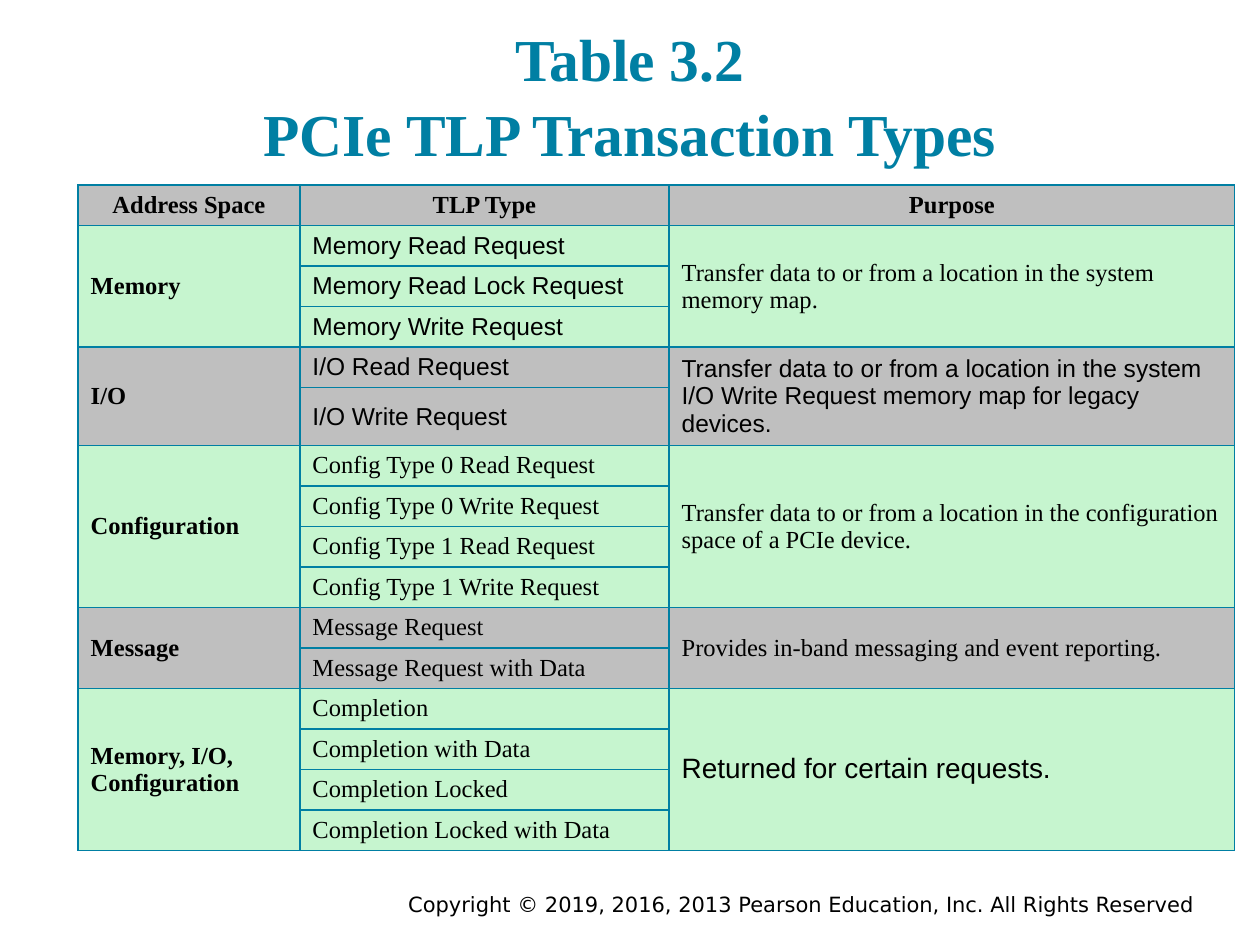
from dataclasses import dataclass

from lxml.etree import SubElement
from pptx import Presentation
from pptx.dml.color import RGBColor
from pptx.enum.text import MSO_ANCHOR, MSO_AUTO_SIZE, PP_ALIGN
from pptx.oxml.ns import qn
from pptx.util import Inches, Pt


@dataclass(frozen=True)
class Theme:
    teal: str = "007FA3"
    ink: str = "000000"
    grey: str = "BFBFBF"
    green: str = "C6F5CF"
    serif: str = "Times New Roman"
    sans: str = "Arial"
    foot: str = "DejaVu Sans"
    head_size: int = 34
    big_size: int = 16
    cell_size: int = 14
    foot_size: int = 12


@dataclass(frozen=True)
class Style:
    face: str
    size: int
    color: str
    bold: bool = False
    align: PP_ALIGN = PP_ALIGN.LEFT
    space: float = 1.0


@dataclass(frozen=True)
class Group:
    space: str
    types: tuple[str, ...]
    goal: str
    type_style: Style
    goal_style: Style


LOOK = Theme()
TITLE = Style(LOOK.serif, LOOK.head_size, LOOK.teal, True, PP_ALIGN.CENTER, 1.05)
HEAD = Style(LOOK.serif, LOOK.cell_size, LOOK.ink, True, PP_ALIGN.CENTER)
LABEL = Style(LOOK.serif, LOOK.cell_size, LOOK.ink, True)
SERIF = Style(LOOK.serif, LOOK.cell_size, LOOK.ink)
SANS = Style(LOOK.sans, LOOK.cell_size, LOOK.ink)
LARGE = Style(LOOK.sans, LOOK.big_size, LOOK.ink)
FOOT = Style(LOOK.foot, LOOK.foot_size, LOOK.ink, align=PP_ALIGN.RIGHT)

WIDTH, HEIGHT = Inches(10), Inches(7.5)
COLS = (1.76, 2.93, 4.49)
TABLE_H = 5.27
TALL_ROW, TALL_H = 5, 0.45
HEADS = ("Address Space", "TLP Type", "Purpose")
GROUPS = (
    Group("Memory",
          ("Memory Read Request", "Memory Read Lock Request", "Memory Write Request"),
          "Transfer data to or from a location in the system\nmemory map.",
          SANS, SERIF),
    Group("I/O", ("I/O Read Request", "I/O Write Request"),
          "Transfer data to or from a location in the system\n"
          "I/O Write Request memory map for legacy devices.",
          SANS, SANS),
    Group("Configuration",
          tuple(f"Config Type {n} {act} Request" for n in (0, 1) for act in ("Read", "Write")),
          "Transfer data to or from a location in the configuration\n"
          "space of a PCIe device.",
          SERIF, SERIF),
    Group("Message", ("Message Request", "Message Request with Data"),
          "Provides in-band messaging and event reporting.",
          SERIF, SERIF),
    Group("Memory, I/O,\nConfiguration",
          ("Completion", "Completion with Data", "Completion Locked",
           "Completion Locked with Data"),
          "Returned for certain requests.",
          SERIF, LARGE),
)


def write(frame, text: str, style: Style) -> None:
    frame.text = text
    for para in frame.paragraphs:
        para.alignment = style.align
        para.line_spacing = style.space
        font = para.font
        font.name, font.size, font.bold = style.face, Pt(style.size), style.bold
        font.color.rgb = RGBColor.from_string(style.color)


def place(shape, left: float, top: float, width: float, height: float) -> None:
    shape.left, shape.width = int(WIDTH * left), int(WIDTH * width)
    shape.top, shape.height = int(HEIGHT * top), int(HEIGHT * height)


def dress(cell, fill: str) -> None:
    props = cell._tc.get_or_add_tcPr()
    for side in ("lnL", "lnR", "lnT", "lnB"):
        line = SubElement(props, qn(f"a:{side}"), w=str(Pt(1)))
        paint = SubElement(line, qn("a:solidFill"))
        SubElement(paint, qn("a:srgbClr"), val=LOOK.teal)
    cell.fill.solid()
    cell.fill.fore_color.rgb = RGBColor.from_string(fill)
    cell.vertical_anchor = MSO_ANCHOR.MIDDLE
    cell.margin_top = cell.margin_bottom = Inches(0.04)


def add_title(slide) -> None:
    title = slide.shapes.title
    place(title, 0.05, 0.032, 0.9, 0.16)
    frame = title.text_frame
    write(frame, "Table 3.2\vPCIe TLP Transaction Types", TITLE)
    frame.auto_size = MSO_AUTO_SIZE.NONE
    frame.vertical_anchor = MSO_ANCHOR.BOTTOM
    frame.margin_top = frame.margin_bottom = Inches(0.1)


def add_grid(slide) -> None:
    count = 1 + sum(len(group.types) for group in GROUPS)
    table = slide.shapes.add_table(
        count, len(COLS), Inches(0.62), Inches(1.47),
        Inches(sum(COLS)), Inches(TABLE_H)).table
    table.first_row = table.horz_banding = False
    for col, width in zip(table.columns, COLS):
        col.width = Inches(width)
    step = (TABLE_H - TALL_H) / (count - 1)
    for index, row in enumerate(table.rows):
        row.height = Inches(TALL_H if index == TALL_ROW else step)

    for col, text in enumerate(HEADS):
        dress(table.cell(0, col), LOOK.grey)
        write(table.cell(0, col).text_frame, text, HEAD)
    top = 1
    for index, group in enumerate(GROUPS):
        last = top + len(group.types) - 1
        fill = LOOK.grey if index % 2 else LOOK.green
        for row, text in enumerate(group.types, top):
            for col in range(len(COLS)):
                dress(table.cell(row, col), fill)
            write(table.cell(row, 1).text_frame, text, group.type_style)
        for col, text, style in ((0, group.space, LABEL), (2, group.goal, group.goal_style)):
            table.cell(top, col).merge(table.cell(last, col))
            write(table.cell(top, col).text_frame, text, style)
        top = last + 1


def add_foot(slide) -> None:
    box = slide.shapes.add_textbox(0, 0, 0, 0)
    place(box, 0.175, 0.937, 0.783, 0.03)
    box.text_frame.word_wrap = True
    write(box.text_frame,
          "Copyright © 2019, 2016, 2013 Pearson Education, Inc. All Rights Reserved", FOOT)


def main() -> None:
    deck = Presentation()
    deck.slide_width, deck.slide_height = WIDTH, HEIGHT
    slide = deck.slides.add_slide(deck.slide_layouts[5])
    add_foot(slide)
    add_title(slide)
    add_grid(slide)
    deck.save("out.pptx")


if __name__ == "__main__":
    main()
